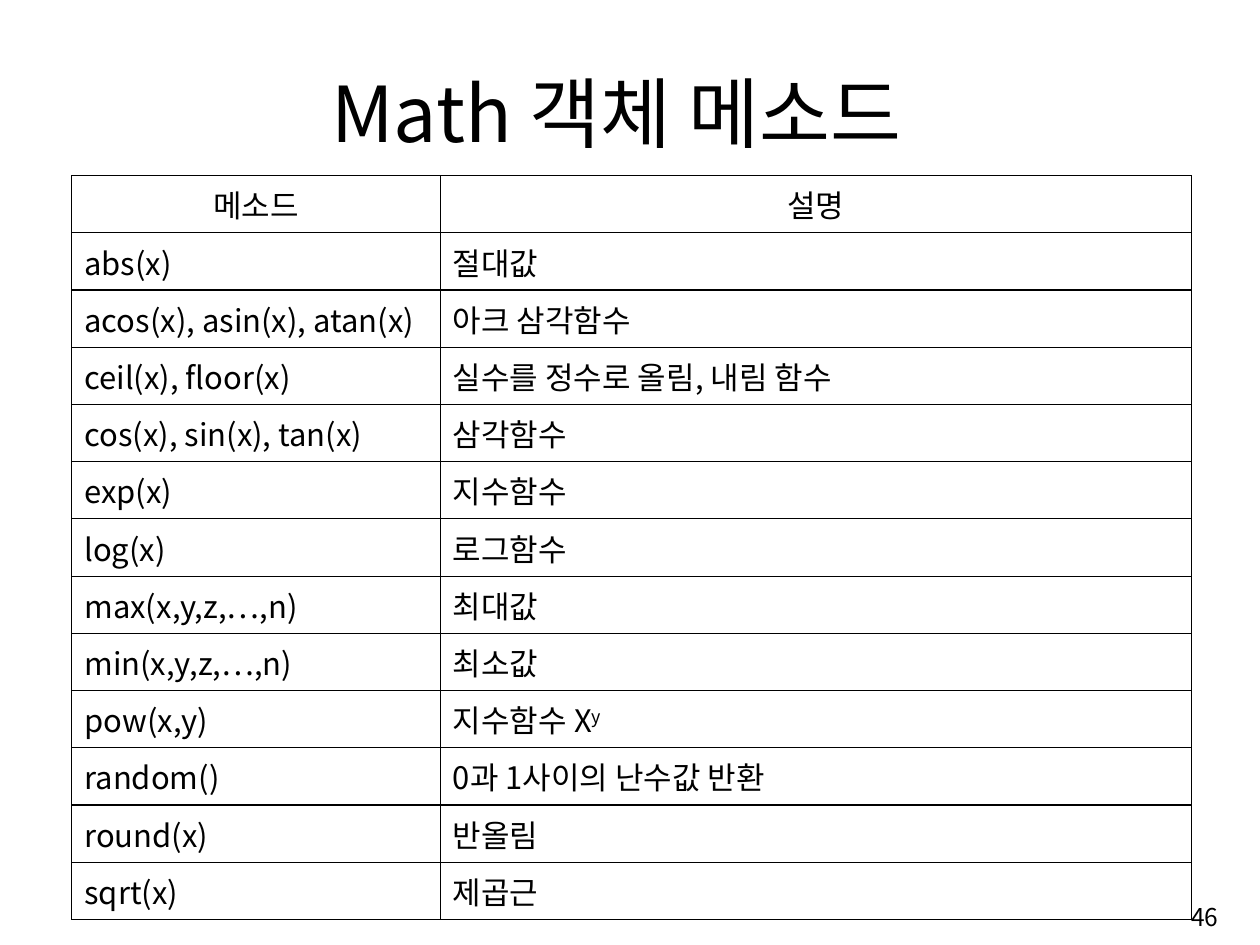
from dataclasses import dataclass

from lxml import etree
from pptx import Presentation
from pptx.dml.color import RGBColor
from pptx.enum.text import MSO_ANCHOR, PP_ALIGN
from pptx.oxml.ns import qn
from pptx.util import Inches, Pt

LEFT, CENTER, RIGHT = PP_ALIGN.LEFT, PP_ALIGN.CENTER, PP_ALIGN.RIGHT
MIDDLE = MSO_ANCHOR.MIDDLE
BORDER_TAGS = ("a:lnL", "a:lnR", "a:lnT", "a:lnB")


@dataclass(frozen=True)
class Theme:
    """Colours, font and type sizes of the deck."""
    font: str = "Noto Sans CJK KR"
    ink: str = "000000"
    paper: str = "FFFFFF"
    title_size: float = 57.2
    table_size: float = 23
    number_size: float = 18.2
    border_width: float = 1


class SlideBuilder:
    """Adds styled elements to one slide."""

    def __init__(self, slide, theme):
        """Keep the slide and its theme."""
        self.slide = slide
        self.theme = theme

    def add_spans(self, para, spans, size, align):
        """Fill a paragraph with (words, is_superscript) spans."""
        para.alignment = align
        for words, is_superscript in spans:
            span = para.add_run()
            span.text = words
            span.font.size = Pt(size)
            span.font.name = self.theme.font
            span.font.color.rgb = RGBColor.from_string(self.theme.ink)
            properties = span._r.get_or_add_rPr()
            etree.SubElement(properties, qn("a:ea"), typeface=self.theme.font)
            if is_superscript:
                properties.set("baseline", "30000")

    def text(self, words, left, top, width, height, size, align):
        """Add a vertically centred text box."""
        box = self.slide.shapes.add_textbox(
            Inches(left), Inches(top), Inches(width), Inches(height))
        frame = box.text_frame
        frame.word_wrap = True
        frame.vertical_anchor = MIDDLE
        self.add_spans(frame.paragraphs[0], [(words, False)], size, align)

    def border(self, cell):
        """Draw a thin line on all four sides of a cell."""
        properties = cell._tc.get_or_add_tcPr()
        for index, tag in enumerate(BORDER_TAGS):
            line = etree.Element(qn(tag), w=str(Pt(self.theme.border_width)))
            fill = etree.SubElement(line, qn("a:solidFill"))
            etree.SubElement(fill, qn("a:srgbClr"), val=self.theme.ink)
            properties.insert(index, line)

    def table(self, rows, left, top, column_widths, row_height):
        """Add a ruled table whose first row is a centred header."""
        frame = self.slide.shapes.add_table(
            len(rows), len(column_widths), Inches(left), Inches(top),
            Inches(sum(column_widths)), Inches(row_height * len(rows)))
        grid = frame.table
        grid.first_row = grid.horz_banding = False
        for column, width in zip(grid.columns, column_widths):
            column.width = Inches(width)
        for row_index, row in enumerate(rows):
            grid.rows[row_index].height = Inches(row_height)
            for column_index, content in enumerate(row):
                cell = grid.cell(row_index, column_index)
                cell.vertical_anchor = MIDDLE
                cell.margin_left = cell.margin_right = Inches(0.13)
                cell.margin_top = cell.margin_bottom = Inches(0.06)
                cell.fill.solid()
                cell.fill.fore_color.rgb = RGBColor.from_string(self.theme.paper)
                self.border(cell)
                spans = [(content, False)] if isinstance(content, str) else content
                self.add_spans(cell.text_frame.paragraphs[0], spans,
                               self.theme.table_size, LEFT if row_index else CENTER)


MATH_METHODS = [
    ("메소드", "설명"),
    ("abs(x)", "절대값"),
    ("acos(x), asin(x), atan(x)", "아크 삼각함수"),
    ("ceil(x), floor(x)", "실수를 정수로 올림, 내림 함수"),
    ("cos(x), sin(x), tan(x)", "삼각함수"),
    ("exp(x)", "지수함수"),
    ("log(x)", "로그함수"),
    ("max(x,y,z,…,n)", "최대값"),
    ("min(x,y,z,…,n)", "최소값"),
    ("pow(x,y)", [("지수함수 X", False), ("y", True)]),
    ("random()", "0과 1사이의 난수값 반환"),
    ("round(x)", "반올림"),
    ("sqrt(x)", "제곱근"),
]


def main():
    """Build the slide of Math methods and save the deck."""
    theme = Theme()
    deck = Presentation()
    deck.slide_width, deck.slide_height = Inches(12.99), Inches(9.74)
    page = SlideBuilder(deck.slides.add_slide(deck.slide_layouts[6]), theme)
    page.text("Math 객체 메소드", 1.05, 0.61, 10.61, 1.08, theme.title_size, CENTER)
    page.table(MATH_METHODS, 0.74, 1.81, (3.8, 7.74), 0.59)
    page.text("46", 9.95, 9.15, 2.71, 0.6, theme.number_size, RIGHT)
    deck.save("out.pptx")


main()
